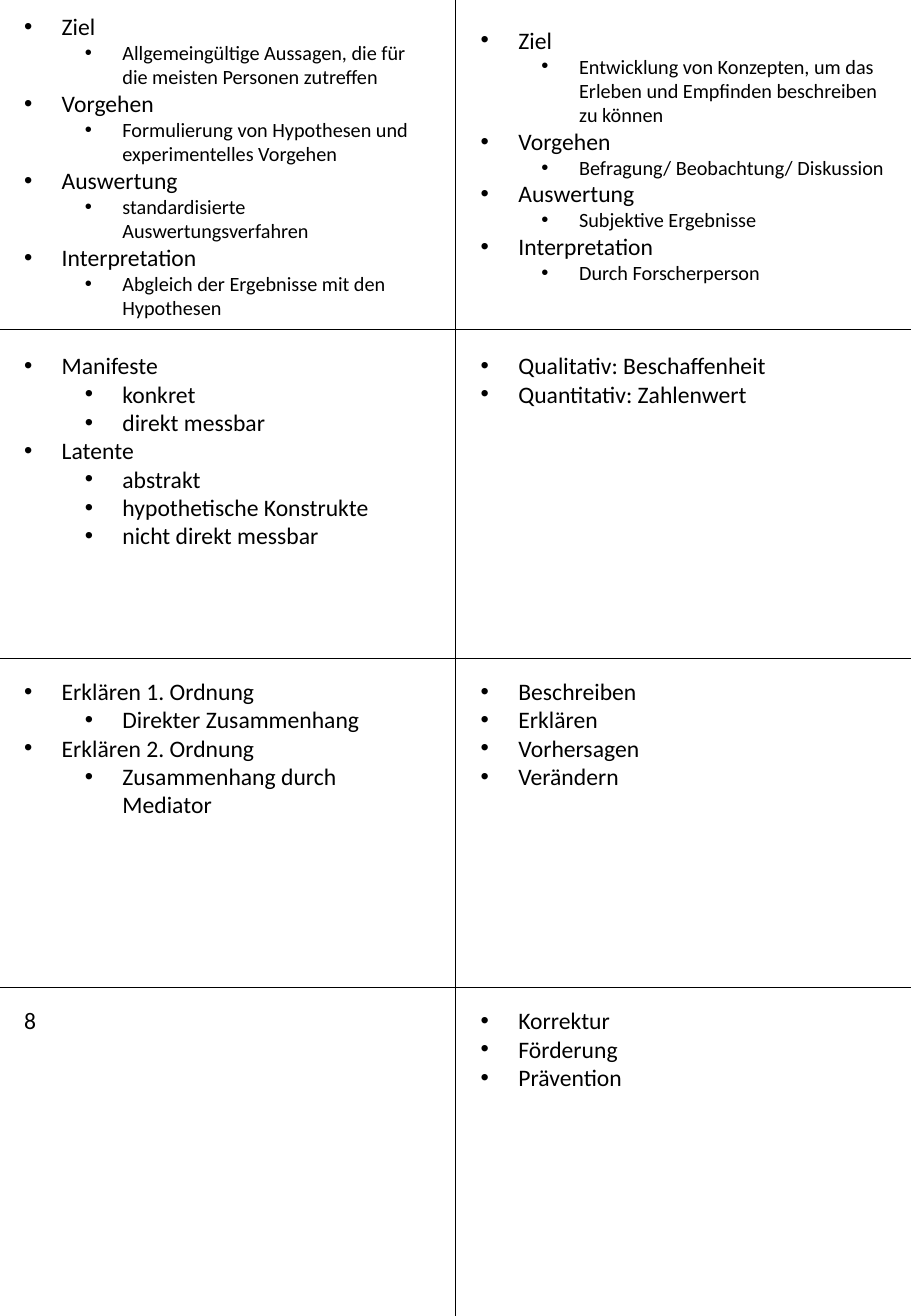
from dataclasses import dataclass
from typing import NamedTuple

import pptx
import pptx.dml.color
import pptx.enum.shapes
import pptx.enum.text
import pptx.oxml.ns
import pptx.slide
import pptx.text.text
import pptx.util
from lxml import etree

EMU_PER_PX = 9144  # 100 px to the inch
SLIDE_WIDTH, SLIDE_HEIGHT = 750, 1083
ROW_HEIGHT = 271
COLUMN_LEFTS = (10, 386)
CARD_WIDTH = 354
HANGING, LEVEL_STEP = 31, 50
BLACK = "000000"


class Entry(NamedTuple):
    text: str
    level: int = 0


@dataclass
class Card:
    column: int
    top: int
    height: int
    entries: list[Entry]
    detail_size: int = 14
    bulleted: bool = True


CARDS = [
    Card(0, 5, 266, [
        Entry("Ziel"),
        Entry("Allgemeingültige Aussagen, die für die meisten Personen zutreffen", 1),
        Entry("Vorgehen"),
        Entry("Formulierung von Hypothesen und experimentelles Vorgehen", 1),
        Entry("Auswertung"),
        Entry("standardisierte Auswertungsverfahren", 1),
        Entry("Interpretation"),
        Entry("Abgleich der Ergebnisse mit den Hypothesen", 1),
    ], detail_size=12),
    Card(1, 16, 232, [
        Entry("Ziel"),
        Entry("Entwicklung von Konzepten, um das Erleben und Empfinden "
              "beschreiben zu können", 1),
        Entry("Vorgehen"),
        Entry("Befragung/ Beobachtung/ Diskussion", 1),
        Entry("Auswertung"),
        Entry("Subjektive Ergebnisse", 1),
        Entry("Interpretation"),
        Entry("Durch Forscherperson", 1),
    ], detail_size=12),
    Card(0, 284, 175, [
        Entry("Manifeste"),
        Entry("konkret", 1),
        Entry("direkt messbar", 1),
        Entry("Latente"),
        Entry("abstrakt", 1),
        Entry("hypothetische Konstrukte", 1),
        Entry("nicht direkt messbar", 1),
    ]),
    Card(1, 284, 57, [Entry("Qualitativ: Beschaffenheit"), Entry("Quantitativ: Zahlenwert")]),
    Card(0, 552, 128, [
        Entry("Erklären 1. Ordnung"),
        Entry("Direkter Zusammenhang", 1),
        Entry("Erklären 2. Ordnung"),
        Entry("Zusammenhang durch Mediator", 1),
    ]),
    Card(1, 552, 104, [
        Entry("Beschreiben"), Entry("Erklären"), Entry("Vorhersagen"), Entry("Verändern"),
    ]),
    Card(0, 823, 34, [Entry("8")], bulleted=False),
    Card(1, 823, 81, [Entry("Korrektur"), Entry("Förderung"), Entry("Prävention")]),
]


def px(length: int) -> pptx.util.Emu:
    return pptx.util.Emu(length * EMU_PER_PX)


def color(value: str) -> pptx.dml.color.RGBColor:
    return pptx.dml.color.RGBColor.from_string(value)


def add_rule(slide: pptx.slide.Slide, x1: int, y1: int, x2: int, y2: int) -> None:
    rule = slide.shapes.add_connector(
        pptx.enum.shapes.MSO_CONNECTOR.STRAIGHT, px(x1), px(y1), px(x2), px(y2))
    rule.line.color.rgb = color(BLACK)
    rule.line.width = pptx.util.Pt(0.5)
    etree.SubElement(rule._element.spPr, pptx.oxml.ns.qn("a:effectLst"))


def add_bullet(paragraph: pptx.text.text._Paragraph, level: int) -> None:
    paragraph.level = level
    properties = paragraph._p.get_or_add_pPr()
    properties.set("marL", str(px(HANGING + level * LEVEL_STEP)))
    properties.set("indent", str(px(-HANGING)))
    etree.SubElement(properties, pptx.oxml.ns.qn("a:buFont"), typeface="Arial")
    etree.SubElement(properties, pptx.oxml.ns.qn("a:buChar"), char="•")


def add_card(slide: pptx.slide.Slide, card: Card) -> None:
    shape = slide.shapes.add_textbox(
        px(COLUMN_LEFTS[card.column]), px(card.top), px(CARD_WIDTH), px(card.height))
    frame = shape.text_frame
    frame.word_wrap = True
    frame.auto_size = pptx.enum.text.MSO_AUTO_SIZE.SHAPE_TO_FIT_TEXT
    for index, entry in enumerate(card.entries):
        paragraph = frame.add_paragraph() if index else frame.paragraphs[0]
        paragraph.text = entry.text
        if card.bulleted:
            add_bullet(paragraph, entry.level)
        paragraph.font.name = "Calibri"
        paragraph.font.size = pptx.util.Pt(card.detail_size if entry.level else 14)
        paragraph.font.color.rgb = color(BLACK)


def main() -> None:
    presentation = pptx.Presentation()
    presentation.slide_width = px(SLIDE_WIDTH)
    presentation.slide_height = px(SLIDE_HEIGHT)
    slide = presentation.slides.add_slide(presentation.slide_layouts.get_by_name("Blank"))

    # Cutting lines between the cards
    for row in range(1, 4):
        add_rule(slide, 0, row * ROW_HEIGHT, SLIDE_WIDTH, row * ROW_HEIGHT)
    add_rule(slide, SLIDE_WIDTH // 2, 0, SLIDE_WIDTH // 2, SLIDE_HEIGHT)

    # Answers on the cards
    for card in CARDS:
        add_card(slide, card)

    presentation.save("out.pptx")


if __name__ == "__main__":
    main()
